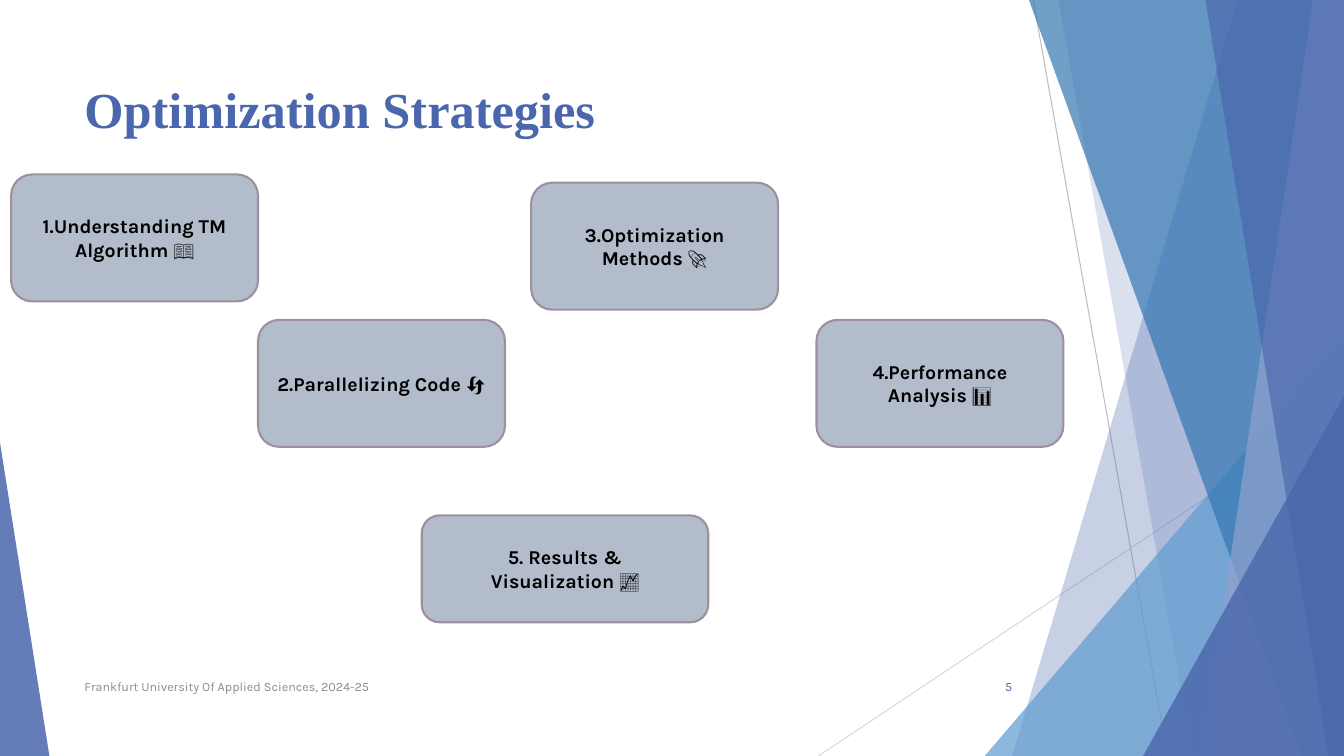
from typing import NamedTuple

from lxml.etree import SubElement
from pptx import Presentation
from pptx.dml.color import RGBColor
from pptx.enum.shapes import MSO_CONNECTOR, MSO_SHAPE
from pptx.enum.text import MSO_ANCHOR, PP_ALIGN
from pptx.oxml.ns import qn
from pptx.util import Pt

W, H = 960, 540
COLORS = {
    "blue": "4A66AC", "sky": "629DD1", "ocean": "3477B2", "lavender": "90A2CF",
    "box": "B2BCCB", "border": "9D90A0", "black": "000000", "footer": "8C8C8C",
    "line": "BFBFBF", "pale_line": "D9D9D9",
}


class Ray(NamedTuple):
    x1: float
    y1: float
    x2: float
    y2: float
    color: str


class Facet(NamedTuple):
    """Full-height band from a slanted left edge to the right slide edge."""
    top_x: float
    bottom_x: float
    color: str
    alpha: int


class Corner(NamedTuple):
    """Triangle standing on the bottom edge, with its apex at 0 (left) to 1 (right)."""
    x: float
    y: float
    w: float
    apex: int
    color: str
    alpha: int


class Step(NamedTuple):
    x: float
    y: float
    label: str
    icon: str
    w: float = 176.4
    h: float = 90.7
    icon_bold: bool = False


RAYS = [Ray(738, 0, 834, H, "line"), Ray(W, 290, 584.6, H, "pale_line")]
DECOR = [
    Facet(884.2, 722.9, "blue", 30),
    Facet(756, 851.8, "blue", 20),
    Corner(703.4, 239.8, 256.6, 1, "sky", 72),
    Facet(735.1, 929.5, "ocean", 70),
    Facet(938.2, 858.2, "lavender", 70),
    Facet(861.1, 949, "blue", 65),
    Corner(816.5, 283, 143.5, 1, "blue", 80),
    Corner(0, 316.1, 35.3, 0, "blue", 85),
]
STEPS = [
    Step(7.9, 124.6, "1.Understanding TM Algorithm ", "📖"),
    Step(184.3, 228.5, "2.Parallelizing Code ", "🔄", icon_bold=True),
    Step(379.4, 130.5, "3.Optimization Methods ", "🚀"),
    Step(583.2, 228.5, "4.Performance Analysis ", "📊"),
    Step(301.3, 368.2, "5. Results & Visualization ", "📈", w=204.6, h=76.3),
]


def rgb(name: str) -> RGBColor:
    return RGBColor.from_string(COLORS[name])


def fill_translucent(sp, color: str, alpha: int) -> None:
    sp.shadow.inherit = False
    sp.line.fill.background()
    sp.fill.solid()
    sp.fill.fore_color.rgb = rgb(color)
    clr = sp.fill._xPr.find(".//" + qn("a:srgbClr"))
    SubElement(clr, qn("a:alpha")).set("val", str(alpha * 1000))


def add_ray(s, ray: Ray) -> None:
    ends = [Pt(v) for v in ray[:4]]
    c = s.shapes.add_connector(MSO_CONNECTOR.STRAIGHT, *ends)
    c.line.color.rgb = rgb(ray.color)
    c.line.width = Pt(0.75)
    SubElement(c._element.spPr, qn("a:effectLst"))


def add_facet(s, f: Facet) -> None:
    fb = s.shapes.build_freeform(f.top_x, 0, scale=Pt(1))
    fb.add_line_segments([(W, 0), (W, H), (f.bottom_x, H)], close=True)
    fill_translucent(fb.convert_to_shape(), f.color, f.alpha)


def add_corner(s, c: Corner) -> None:
    sp = s.shapes.add_shape(MSO_SHAPE.ISOSCELES_TRIANGLE,
                            Pt(c.x), Pt(c.y), Pt(c.w), Pt(H - c.y))
    sp.adjustments[0] = c.apex
    fill_translucent(sp, c.color, c.alpha)


def add_run(p, text: str, *, size: float, color: str, font: str = "Karla",
            bold: bool = False) -> None:
    r = p.add_run()
    r.text = text
    r.font.name, r.font.size, r.font.bold = font, Pt(size), bold
    r.font.color.rgb = rgb(color)


def add_text(s, x: float, y: float, w: float, h: float, text: str, *,
             align=PP_ALIGN.LEFT, anchor=MSO_ANCHOR.MIDDLE, **fmt) -> None:
    tf = s.shapes.add_textbox(Pt(x), Pt(y), Pt(w), Pt(h)).text_frame
    tf.word_wrap = True
    tf.vertical_anchor = anchor
    p = tf.paragraphs[0]
    p.alignment = align
    add_run(p, text, **fmt)


def add_step(s, step: Step) -> None:
    sp = s.shapes.add_shape(MSO_SHAPE.ROUNDED_RECTANGLE,
                            Pt(step.x), Pt(step.y), Pt(step.w), Pt(step.h))
    sp.shadow.inherit = False
    sp.fill.solid()
    sp.fill.fore_color.rgb = rgb("box")
    sp.line.color.rgb = rgb("border")
    sp.line.width = Pt(1.5)
    tf = sp.text_frame
    tf.word_wrap = True
    tf.vertical_anchor = MSO_ANCHOR.MIDDLE
    p = tf.paragraphs[0]
    p.alignment = PP_ALIGN.CENTER
    add_run(p, step.label, size=14, color="black", bold=True)
    add_run(p, step.icon, size=14, color="black", bold=step.icon_bold)


def main() -> None:
    prs = Presentation()
    prs.slide_width, prs.slide_height = Pt(W), Pt(H)
    s = prs.slides.add_slide(prs.slide_layouts[6])
    for ray in RAYS:
        add_ray(s, ray)
    for item in DECOR:
        if isinstance(item, Facet):
            add_facet(s, item)
        else:
            add_corner(s, item)
    add_text(s, 53.3, 52, 676.8, 100, "Optimization Strategies", size=36,
             color="blue", font="Times New Roman", bold=True, anchor=MSO_ANCHOR.TOP)
    add_text(s, 53.3, 476, 496, 28.8,
             "Frankfurt University Of Applied Sciences, 2024-25", size=9, color="footer")
    for step in STEPS:
        add_step(s, step)
    add_text(s, 676, 476, 54, 28.8, "5", size=9, color="blue", align=PP_ALIGN.RIGHT)
    prs.save("out.pptx")


if __name__ == "__main__":
    main()
